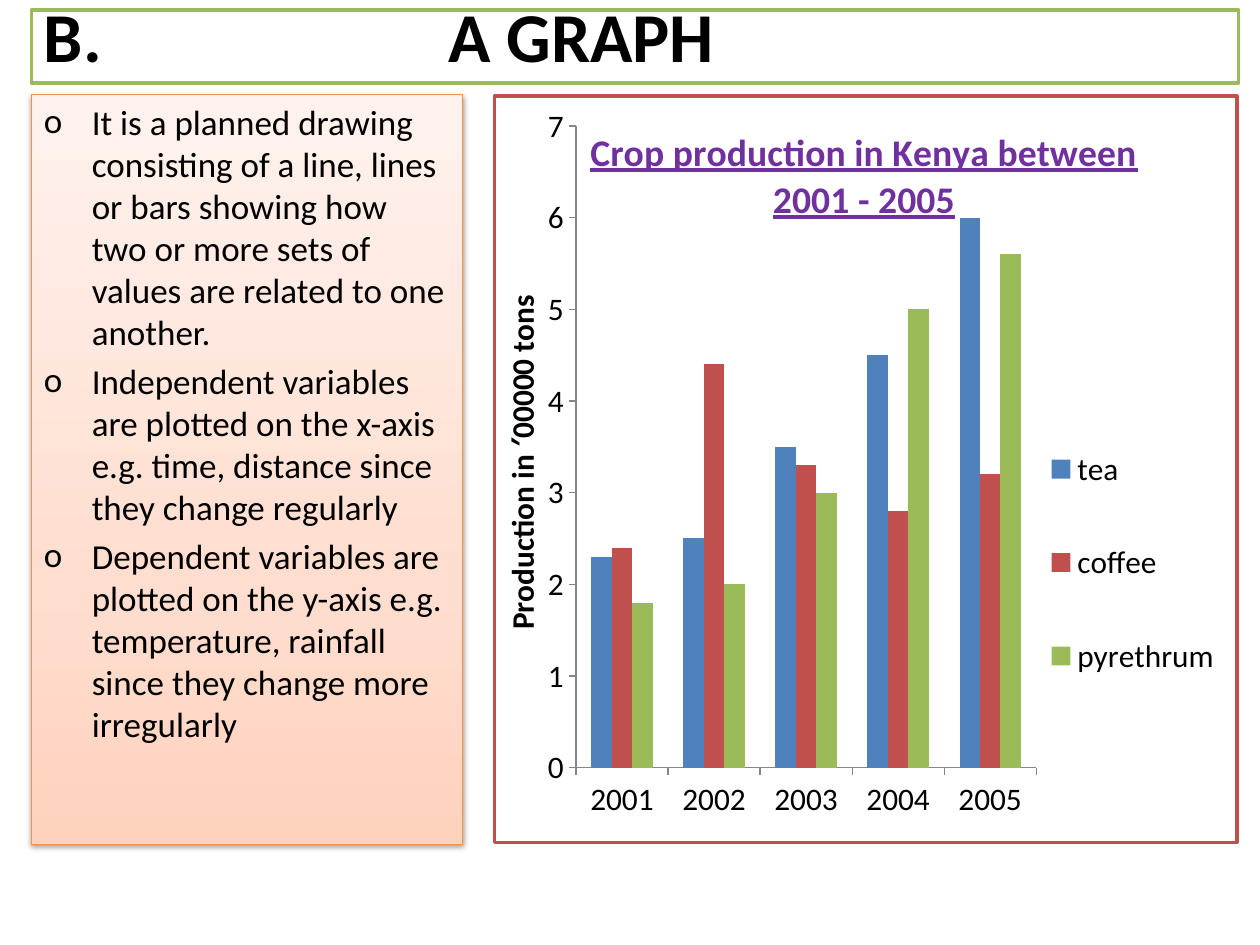
from typing import NamedTuple

from lxml import etree
from pptx import Presentation
from pptx.chart.data import CategoryChartData
from pptx.dml.color import RGBColor
from pptx.enum.chart import XL_CHART_TYPE, XL_LEGEND_POSITION, XL_TICK_MARK
from pptx.enum.shapes import MSO_SHAPE
from pptx.enum.text import MSO_ANCHOR, PP_ALIGN
from pptx.oxml import parse_xml
from pptx.oxml.ns import nsdecls, qn
from pptx.util import Inches, Pt

FONT = "Calibri"
BLACK, WHITE, PURPLE = "000000", "FFFFFF", "7030A0"
GREEN, RED, BLUE, ORANGE, GREY = "9BBB59", "C0504D", "4F81BD", "F69240", "868686"


class Box(NamedTuple):
    left: float
    top: float
    width: float
    height: float

    def lengths(self):
        return [Inches(v) for v in self]


class Crop(NamedTuple):
    name: str
    color: str
    values: tuple


TITLE_BOX = Box(0.25, 0.08, 9.58, 0.58)
NOTES_BOX = Box(0.25, 0.75, 3.42, 5.95)
CHART_BOX = Box(3.91, 0.75, 5.92, 5.95)

NOTES = [
    "It is a planned drawing consisting of a line, lines or bars showing how "
    "two or more sets of values are related to one another.",
    "Independent variables are plotted on the x-axis e.g. time, distance since "
    "they change regularly",
    "Dependent variables are plotted on the y-axis e.g. temperature, rainfall "
    "since they change more irregularly",
]
YEARS = ["2001", "2002", "2003", "2004", "2005"]
CROPS = [
    Crop("tea", BLUE, (2.3, 2.5, 3.5, 4.5, 6)),
    Crop("coffee", RED, (2.4, 4.4, 3.3, 2.8, 3.2)),
    Crop("pyrethrum", GREEN, (1.8, 2, 3, 5, 5.6)),
]


def rgb(color: str) -> RGBColor:
    return RGBColor.from_string(color)


def set_font(font, size: float, color: str = BLACK, bold=False, underline=False) -> None:
    font.name, font.size, font.bold = FONT, Pt(size), bold
    font.underline = underline
    font.color.rgb = rgb(color)


def write(p, text: str, **fmt) -> None:
    r = p.add_run()
    r.text = text
    set_font(r.font, **fmt)


def add_box(s, box: Box, line: str, width: float):
    sp = s.shapes.add_shape(MSO_SHAPE.RECTANGLE, *box.lengths())
    sp.shadow.inherit = False
    sp.fill.solid()
    sp.fill.fore_color.rgb = rgb(WHITE)
    sp.line.color.rgb = rgb(line)
    sp.line.width = Pt(width)
    tf = sp.text_frame
    tf.word_wrap = True
    tf.vertical_anchor = MSO_ANCHOR.TOP
    tf.paragraphs[0].alignment = PP_ALIGN.LEFT
    return sp


def add_gradient_and_shadow(sp) -> None:
    stops = [(0, "FFD2BD"), (35, "FFDED0"), (100, "FFF2ED")]
    gs = "".join(f'<a:gs pos="{pos * 1000}"><a:srgbClr val="{c}"/></a:gs>' for pos, c in stops)
    spPr = sp._element.spPr
    spPr.replace(spPr.find(qn("a:solidFill")), parse_xml(
        f'<a:gradFill {nsdecls("a")} rotWithShape="1"><a:gsLst>{gs}</a:gsLst>'
        '<a:lin ang="16200000" scaled="0"/></a:gradFill>'))
    spPr.find(qn("a:effectLst")).append(parse_xml(
        f'<a:outerShdw {nsdecls("a")} blurRad="{Pt(3.1)}" dist="{Pt(1.6)}" dir="5400000" '
        'rotWithShape="0"><a:srgbClr val="000000"><a:alpha val="38000"/></a:srgbClr>'
        '</a:outerShdw>'))


def add_bullet(p, char: str, indent: float) -> None:
    pPr = p._p.get_or_add_pPr()
    pPr.set("marL", str(Inches(indent)))
    pPr.set("indent", str(-Inches(indent)))
    etree.SubElement(pPr, qn("a:buFont")).set("typeface", FONT)
    etree.SubElement(pPr, qn("a:buChar")).set("char", char)


def add_tab(p, pos: float) -> None:
    tabs = etree.SubElement(p._p.get_or_add_pPr(), qn("a:tabLst"))
    tab = etree.SubElement(tabs, qn("a:tab"))
    tab.set("pos", str(Inches(pos)))
    tab.set("algn", "l")


def layout_xml(inner: bool = False, **place: float):
    """Manual layout, as fractions of the chart area."""
    target = '<c:layoutTarget val="inner"/>' if inner else ""
    modes = "".join(f'<c:{k}Mode val="edge"/>' for k in "xy")
    values = "".join(f'<c:{k} val="{v}"/>' for k, v in place.items())
    return parse_xml(f'<c:layout {nsdecls("c")}><c:manualLayout>{target}{modes}{values}'
                     '</c:manualLayout></c:layout>')


def set_layout(parent, after: str, layout) -> None:
    for old in parent.findall(qn("c:layout")):
        parent.remove(old)
    if after:
        parent.find(qn(after)).addnext(layout)
    else:
        parent.insert(0, layout)


def add_crop_chart(s) -> None:
    data = CategoryChartData()
    data.categories = YEARS
    for crop in CROPS:
        data.add_series(crop.name, crop.values)
    chart = s.shapes.add_chart(
        XL_CHART_TYPE.COLUMN_CLUSTERED, *CHART_BOX.lengths(), data).chart
    set_font(chart.font, 18)

    # Frame and plot area
    chart._chartSpace.find(qn("c:txPr")).addprevious(parse_xml(
        f'<c:spPr {nsdecls("c", "a")}><a:solidFill><a:srgbClr val="{WHITE}"/></a:solidFill>'
        f'<a:ln w="{Pt(2)}"><a:solidFill><a:srgbClr val="{RED}"/></a:solidFill></a:ln></c:spPr>'))
    plot_area = chart._chartSpace.chart.plotArea
    set_layout(plot_area, "", layout_xml(True, x=0.11, y=0.04, w=0.62, h=0.86))

    # Bars
    plot = chart.plots[0]
    plot.gap_width, plot.overlap, plot.vary_by_categories = 150, 0, False
    for series, crop in zip(plot.series, CROPS):
        series.format.fill.solid()
        series.format.fill.fore_color.rgb = rgb(crop.color)

    # Axes
    for axis in (chart.category_axis, chart.value_axis):
        axis.has_major_gridlines = False
        axis.major_tick_mark = XL_TICK_MARK.OUTSIDE
        axis.minor_tick_mark = XL_TICK_MARK.NONE
        axis.format.line.color.rgb = rgb(GREY)
    value_axis = chart.value_axis
    value_axis.minimum_scale, value_axis.maximum_scale, value_axis.major_unit = 0, 7, 1
    write(value_axis.axis_title.text_frame.paragraphs[0],
          "Production in ′00000 tons", size=18, bold=True)

    # Title laid over the plot, clear of the bars
    chart.has_title = True
    title = chart.chart_title
    write(title.text_frame.paragraphs[0], "Crop production in Kenya between 2001 - 2005",
          size=21.6, color=PURPLE, bold=True, underline=True)
    for old in title._element.findall(qn("c:overlay")):
        title._element.remove(old)
    set_layout(title._element, "c:tx", layout_xml(x=0.12, y=0.03))
    title._element.find(qn("c:layout")).addnext(
        parse_xml(f'<c:overlay {nsdecls("c")} val="1"/>'))

    # Legend
    chart.has_legend = True
    legend = chart.legend
    legend.position = XL_LEGEND_POSITION.RIGHT
    legend.include_in_layout = False
    set_layout(legend._element, "c:legendPos", layout_xml(x=0.74, y=0.4, w=0.24, h=0.45))


def main() -> None:
    prs = Presentation()
    prs.slide_width, prs.slide_height = Inches(10), Inches(7.5)
    s = prs.slides.add_slide(prs.slide_layouts[6])

    # Heading
    tf = add_box(s, TITLE_BOX, GREEN, 2).text_frame
    tf.vertical_anchor = MSO_ANCHOR.BOTTOM
    tf.margin_top, tf.margin_bottom = 0, Inches(0.05)
    add_tab(tf.paragraphs[0], 3.21)
    write(tf.paragraphs[0], "B.\tA GRAPH", size=40, bold=True)

    # Notes
    sp = add_box(s, NOTES_BOX, ORANGE, 0.75)
    add_gradient_and_shadow(sp)
    tf = sp.text_frame
    for i, note in enumerate(NOTES):
        p = tf.add_paragraph() if i else tf.paragraphs[0]
        p.alignment = PP_ALIGN.LEFT
        add_bullet(p, "o", 0.38)
        if i:
            p.space_before = Pt(4)
        write(p, note, size=20)

    add_crop_chart(s)
    prs.save("out.pptx")


if __name__ == "__main__":
    main()
